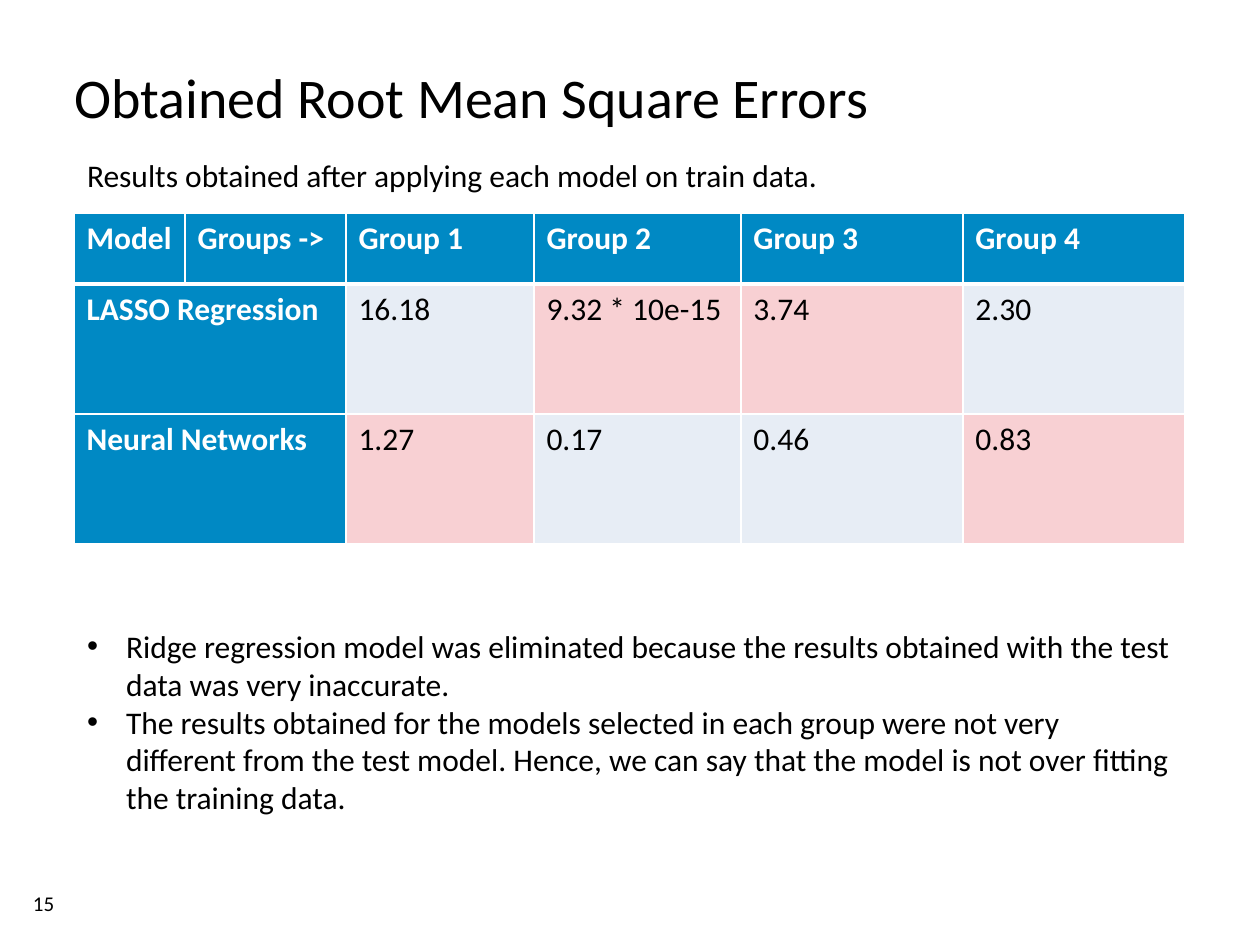
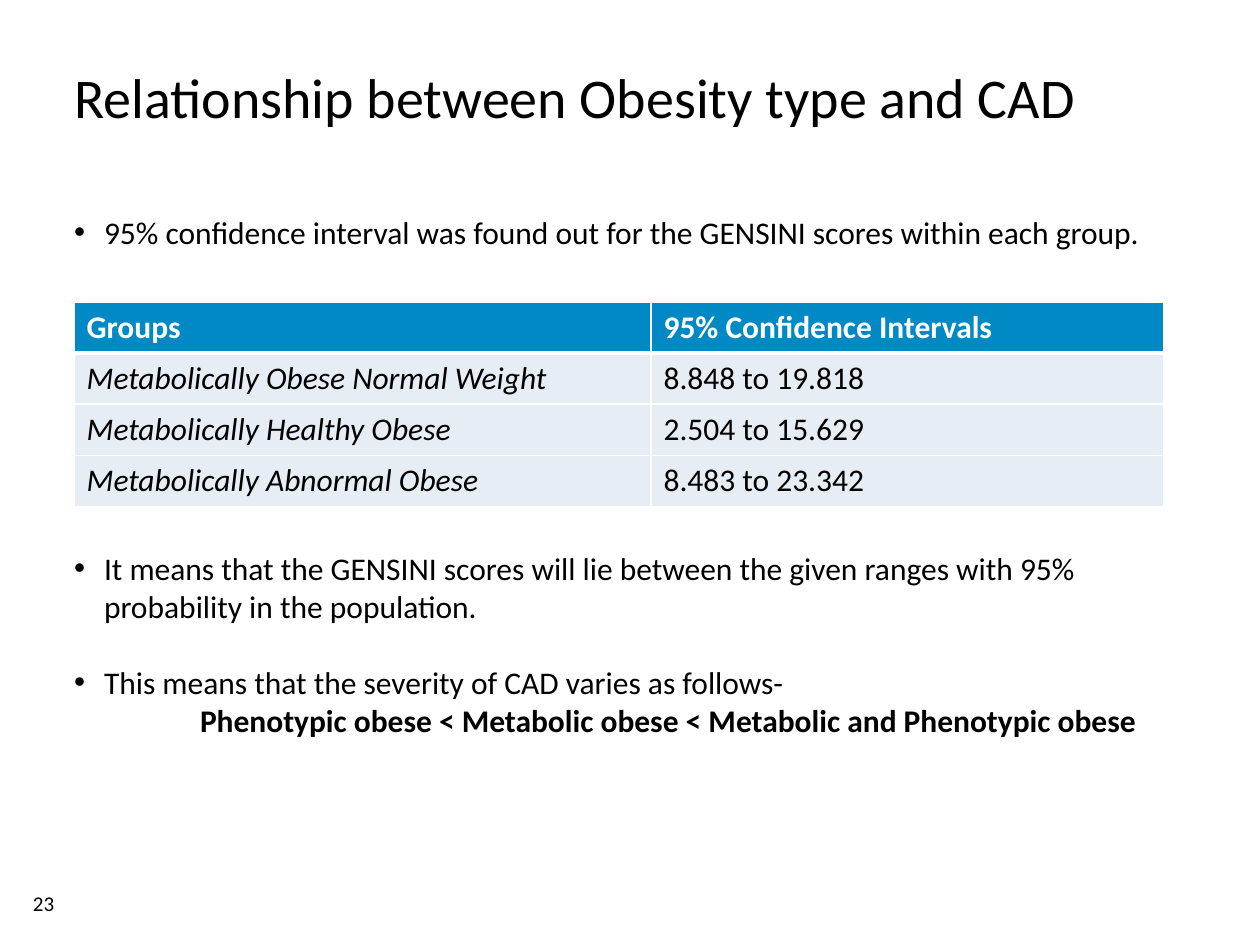
from dataclasses import dataclass
from lxml.etree import SubElement
from pptx import Presentation
from pptx.dml.color import RGBColor
from pptx.enum.text import MSO_ANCHOR, MSO_AUTO_SIZE, PP_ALIGN
from pptx.oxml.ns import qn
from pptx.util import Pt


@dataclass(frozen=True)
class Theme:
    font: str = "Calibri"
    title_size: int = 32
    body_size: int = 18
    number_size: int = 12
    black: RGBColor = RGBColor(0, 0, 0)
    white: RGBColor = RGBColor(255, 255, 255)
    blue: RGBColor = RGBColor.from_string("0089C4")
    pale: RGBColor = RGBColor.from_string("E7EDF5")
    pink: RGBColor = RGBColor.from_string("F8D0D3")
    thin_rule: int = 1
    thick_rule: int = 3


theme = Theme()
PX = 7257
LEFT = 74
WIDTH = 1111


def write_text(shape, box, lines, size=theme.body_size, inset=(0, 0), hang=0):
    shape.left, shape.top, shape.width, shape.height = [length * PX for length in box]
    frame = shape.text_frame
    frame.word_wrap = True
    frame.auto_size = MSO_AUTO_SIZE.NONE
    frame.vertical_anchor = MSO_ANCHOR.TOP
    frame.margin_left = frame.margin_right = inset[0] * PX
    frame.margin_top = frame.margin_bottom = inset[1] * PX
    frame.text = "\n".join(lines)
    for paragraph in frame.paragraphs:
        paragraph.alignment = PP_ALIGN.LEFT
        paragraph.space_before = Pt(0)
        paragraph.font.name = theme.font
        paragraph.font.size = Pt(size)
        paragraph.font.color.rgb = theme.black
        if hang:
            properties = paragraph._p.get_or_add_pPr()
            properties.set("marL", str(hang * PX))
            properties.set("indent", str(-hang * PX))
            SubElement(properties, qn("a:buFont"), typeface="Arial")
            SubElement(properties, qn("a:buChar"), char="•")
            properties.append(properties.find(qn("a:defRPr")))


def add_table(slide, top, column_widths, row_heights, rows, heading_columns=0, marked=(), italic_columns=()):
    table = slide.shapes.add_table(
        len(rows), len(column_widths), LEFT * PX, top * PX,
        sum(column_widths) * PX, sum(row_heights) * PX,
    ).table
    for column, width in zip(table.columns, column_widths):
        column.width = width * PX
    for row, height in zip(table.rows, row_heights):
        row.height = height * PX
    for row_index, row in enumerate(rows):
        for column_index, text in enumerate(row):
            cell = table.cell(row_index, column_index)
            heading = row_index == 0 or column_index < heading_columns
            cell.text = text
            font = cell.text_frame.paragraphs[0].font
            font.name = theme.font
            font.size = Pt(theme.body_size)
            font.bold = heading
            font.italic = row_index > 0 and column_index in italic_columns
            font.color.rgb = theme.white if heading else theme.black
            cell_properties = cell._tc.get_or_add_tcPr()
            for side in ("lnL", "lnR", "lnT", "lnB"):
                thick = (row_index, side) in ((0, "lnB"), (1, "lnT"))
                rule = theme.thick_rule if thick else theme.thin_rule
                line = SubElement(cell_properties, qn(f"a:{side}"), w=str(Pt(rule)))
                fill = SubElement(line, qn("a:solidFill"))
                SubElement(fill, qn("a:srgbClr"), val=str(theme.white))
            cell.fill.solid()
            if heading:
                cell.fill.fore_color.rgb = theme.blue
            else:
                cell.fill.fore_color.rgb = theme.pink if (row_index, column_index) in marked else theme.pale
    return table


presentation = Presentation()
presentation.slide_width = 1260 * PX
presentation.slide_height = 945 * PX
content_layout = presentation.slide_layouts.get_by_name("Title and Content")
two_content_layout = presentation.slide_layouts.get_by_name("Two Content")

slides = []
for layout, title, number in (
    (content_layout, "Obtained Root Mean Square Errors", "15"),
    (two_content_layout, "Relationship between Obesity type and CAD", "23"),
):
    slide = presentation.slides.add_slide(layout)
    write_text(slide.shapes.title, (LEFT, 62, WIDTH, 139), [title], theme.title_size)
    number_box = slide.shapes.add_textbox(0, 0, 0, 0)
    write_text(number_box, (33, 891, 71, 25), [number], theme.number_size)
    slides.append(slide)
errors_slide, obesity_slide = slides

errors_table = add_table(
    errors_slide, 213, (111, 161, 188, 207, 222, 222), (71, 130, 130),
    (
        ("Model", "Groups ->", "Group 1", "Group 2", "Group 3", "Group 4"),
        ("LASSO Regression", "", "16.18", "9.32 * 10e-15", "3.74", "2.30"),
        ("Neural Networks", "", "1.27", "0.17", "0.46", "0.83"),
    ),
    heading_columns=2,
    marked=((1, 3), (1, 4), (2, 2), (2, 5)),
)
for row_index in (1, 2):
    errors_table.cell(row_index, 0).merge(errors_table.cell(row_index, 1))

subtitle = errors_slide.shapes.add_textbox(0, 0, 0, 0)
write_text(
    subtitle, (LEFT, 150, 790, 51),
    ["Results obtained after applying each model on train data."], inset=(13, 6),
)
write_text(
    errors_slide.placeholders[1], (LEFT, 621, WIDTH, 204),
    [
        "Ridge regression model was eliminated because the results obtained with the test data was very inaccurate.",
        "The results obtained for the models selected in each group were not very different from the test model. "
        "Hence, we can say that the model is not over fitting the training data.",
    ],
    inset=(13, 6), hang=39,
)

write_text(
    obesity_slide.placeholders[1], (LEFT, 213, WIDTH, 73),
    ["95% confidence interval was found out for the GENSINI scores within each group."], hang=30,
)
add_table(
    obesity_slide, 302, (577, 513), (51,) * 4,
    (
        ("Groups", "95% Confidence Intervals"),
        ("Metabolically Obese Normal Weight", "8.848 to 19.818"),
        ("Metabolically Healthy Obese", "2.504 to 15.629"),
        ("Metabolically Abnormal Obese", "8.483 to 23.342"),
    ),
    italic_columns=(0,),
)
meaning = obesity_slide.placeholders[2]
write_text(
    meaning, (LEFT, 549, WIDTH, 103),
    [
        "It means that the GENSINI scores will lie between the given ranges with 95% probability in the population.",
        "This means that the severity of CAD varies as follows-",
        "Phenotypic obese < Metabolic obese < Metabolic and Phenotypic obese",
    ],
    hang=30,
)
severity, ranking = meaning.text_frame.paragraphs[1:]
severity.space_before = Pt(22)
ranking.font.bold = True
ranking_properties = ranking._p.get_or_add_pPr()
ranking_properties.set("marL", str(126 * PX))
ranking_properties.set("indent", "0")
ranking_properties.remove(ranking_properties.find(qn("a:buFont")))
bullet = ranking_properties.find(qn("a:buChar"))
ranking_properties.replace(bullet, ranking_properties.makeelement(qn("a:buNone")))

presentation.save("out.pptx")
